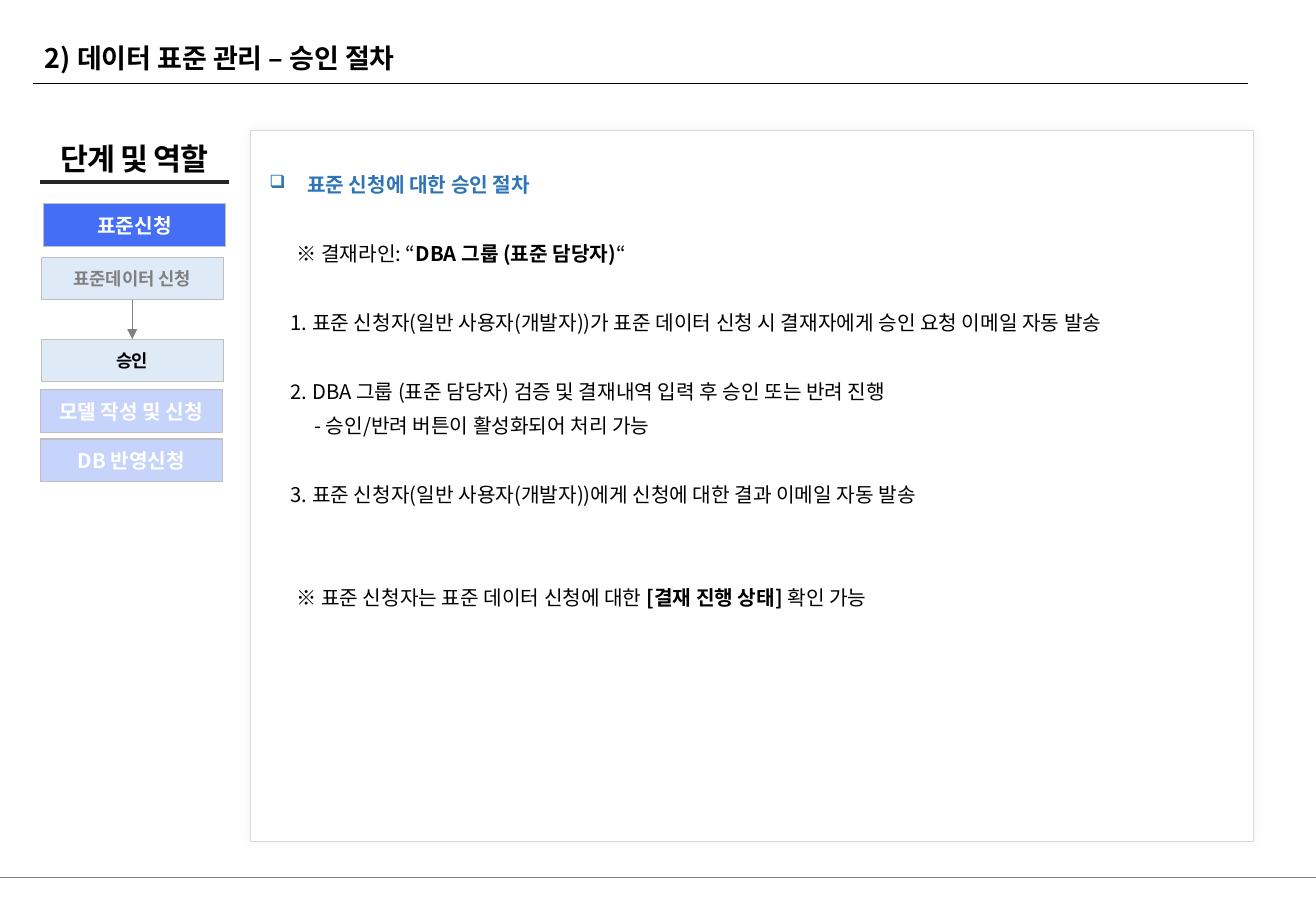
from dataclasses import dataclass

from lxml import etree
from pptx import Presentation
from pptx.dml.color import RGBColor
from pptx.enum.shapes import MSO_CONNECTOR, MSO_SHAPE
from pptx.enum.text import MSO_ANCHOR, PP_ALIGN
from pptx.oxml.ns import qn
from pptx.util import Cm, Pt

STRAIGHT = MSO_CONNECTOR.STRAIGHT
RECT = MSO_SHAPE.RECTANGLE
TOP, MIDDLE = MSO_ANCHOR.TOP, MSO_ANCHOR.MIDDLE
LEFT, CENTER = PP_ALIGN.LEFT, PP_ALIGN.CENTER


@dataclass(frozen=True)
class Theme:
    font: str = "Noto Sans CJK KR"
    blue: str = "436EF5"
    pale: str = "DEEBF7"
    head: str = "2E75B6"
    white: str = "FFFFFF"
    black: str = "000000"
    dark: str = "262626"
    gray: str = "808080"
    edge: str = "BFBFBF"
    frame: str = "D9D9D9"
    shade: str = "AFABAB"
    title: float = 16
    label: float = 18
    body: float = 12
    small: float = 10.5


def assign(target, values):
    for name, value in values.items():
        setattr(target, name, value)


def add_node(parent, tag, **values):
    node = etree.SubElement(parent, qn(tag))
    for name, value in values.items():
        node.set(name, str(value))
    return node


class Page:
    def __init__(self, slide, theme):
        self.slide = slide
        self.theme = theme

    def words(self, para, text, size, color, bold=True, space=0):
        run = para.add_run()
        run.text = text
        assign(run.font, {"name": self.theme.font, "size": Pt(size), "bold": bold})
        run.font.color.rgb = RGBColor.from_string(color)
        props = run._r.get_or_add_rPr()
        add_node(props, "a:ea", typeface=self.theme.font)
        if space:
            props.set("spc", str(space))

    def frame(self, shape, anchor, wrap, side, edge):
        frame = shape.text_frame
        assign(frame, {
            "word_wrap": wrap, "vertical_anchor": anchor,
            "margin_left": Cm(side), "margin_right": Cm(side),
            "margin_top": Cm(edge), "margin_bottom": Cm(edge),
        })
        return frame

    def text(self, box, anchor=TOP, side=0.25, edge=0.13):
        shape = self.slide.shapes.add_textbox(*map(Cm, box))
        return self.frame(shape, anchor, True, side, edge)

    def rect(self, box, fill, line, width, alpha=None):
        shape = self.slide.shapes.add_shape(RECT, *map(Cm, box))
        shape.shadow.inherit = False
        shape.fill.solid()
        shape.fill.fore_color.rgb = RGBColor.from_string(fill)
        shape.line.color.rgb = RGBColor.from_string(line)
        shape.line.width = Pt(width)
        if alpha:
            color = shape._element.spPr.find(qn("a:solidFill"))[0]
            add_node(color, "a:alpha", val=alpha * 1000)
        return shape

    def step(self, left, top, text, fill, color, size, width, alpha=None, space=0):
        shape = self.rect((left, top, 3.81, 0.89), fill, self.theme.edge, width, alpha)
        para = self.frame(shape, MIDDLE, False, 0.1, 0.13).paragraphs[0]
        para.alignment = CENTER
        self.words(para, text, size, color, space=space)
        return shape

    def glow(self, shape, color, blur, alpha):
        effect = shape._element.spPr.find(qn("a:effectLst"))
        outer = add_node(effect, "a:outerShdw", blurRad=Pt(blur), dist=0, dir=0,
                         algn="ctr", rotWithShape=0)
        tone = add_node(outer, "a:srgbClr", val=color)
        add_node(tone, "a:alpha", val=alpha * 1000)

    def line(self, start, end, color, width):
        rule = self.slide.shapes.add_connector(STRAIGHT, *map(Cm, start + end))
        rule.line.color.rgb = RGBColor.from_string(color)
        rule.line.width = Pt(width)
        add_node(rule._element.spPr, "a:effectLst")
        return rule

    def arrow(self, first, second, color, width):
        rule = self.line((0, 0), (1, 1), color, width)
        rule.begin_connect(first, 2)
        rule.end_connect(second, 0)
        outline = rule._element.spPr.find(qn("a:ln"))
        add_node(outline, "a:tailEnd", type="triangle")

    def item(self, para, parts, before, indent, color, bullet=None):
        props = para._p.get_or_add_pPr()
        props.set("marL", str(Cm(indent)))
        props.set("indent", str(-Cm(indent) if bullet else 0))
        if bullet:
            add_node(props, "a:buSzPct", val=90000)
            add_node(props, "a:buChar", char=bullet)
        assign(para, {"alignment": LEFT, "line_spacing": Pt(14.4),
                      "space_before": Pt(before), "space_after": Pt(6)})
        for text, bold in parts:
            self.words(para, text, self.theme.body, color, bold)


def main():
    deck = Presentation()
    assign(deck, {"slide_width": Cm(27.51), "slide_height": Cm(19.05)})
    look = Theme()
    page = Page(deck.slides.add_slide(deck.slide_layouts[6]), look)

    page.line((0, 18.34), (27.51, 18.34), look.gray, 0.5)
    page.line((0.69, 1.75), (26.09, 1.75), look.black, 0.75)
    title = page.text((0.69, 0.79, 25.53, 1.02)).paragraphs[0]
    title.line_spacing = Pt(18)
    page.words(title, "2) 데이터 표준 관리 – 승인 절차", look.title, look.black)

    label = page.text((0.84, 2.82, 3.94, 0.97), MIDDLE, 0, 0.1).paragraphs[0]
    label.alignment = CENTER
    page.words(label, "단계 및 역할", look.label, look.black, space=-50)
    page.line((0.84, 3.81), (4.78, 3.81), look.dark, 2.25)

    page.step(0.91, 4.26, "표준신청", look.blue, look.white, look.body, 0.75)
    apply = page.step(0.86, 5.38, "표준데이터 신청", look.pale, look.gray, look.small, 0.5)
    accept = page.step(0.86, 7.09, "승인", look.pale, look.black, look.small, 0.5, space=-100)
    page.arrow(apply, accept, look.gray, 0.5)
    for top, text in ((8.15, "모델 작성 및 신청"), (9.18, "DB 반영신청")):
        page.step(0.84, top, text, look.blue, look.white, look.body, 0.75, 30)

    panel = page.rect((5.23, 2.72, 20.98, 14.88), look.white, look.frame, 0.5)
    page.glow(panel, look.shade, 5, 15)

    gap = 20.4
    items = (
        ([("표준 신청에 대한 승인 절차", True)], 0, 0.79, look.head, "❑"),
        ([("※ 결재라인: “", False), ("DBA 그룹 (표준 담당자)", True), ("“", False)],
         gap, 0.57, look.black),
        ([("1. 표준 신청자(일반 사용자(개발자))가 표준 데이터 신청 시 "
           "결재자에게 승인 요청 이메일 자동 발송", False)], gap, 0.45, look.black),
        ([("2. DBA 그룹 (표준 담당자) 검증 및 결재내역 입력 후 승인 또는 반려 진행", False)],
         gap, 0.45, look.black),
        ([("- 승인/반려 버튼이 활성화되어 처리 가능", False)], 0, 0.94, look.black),
        ([("3. 표준 신청자(일반 사용자(개발자))에게 신청에 대한 결과 이메일 자동 발송", False)],
         gap, 0.45, look.black),
        ([("※ 표준 신청자는 표준 데이터 신청에 대한 ", False), ("[결재 진행 상태]", True),
          (" 확인 가능", False)], 2 * gap, 0.57, look.black),
    )
    body = page.text((5.38, 3.48, 20.37, 12.85))
    for index, item in enumerate(items):
        para = body.add_paragraph() if index else body.paragraphs[0]
        page.item(para, *item)

    deck.save("out.pptx")


if __name__ == "__main__":
    main()
